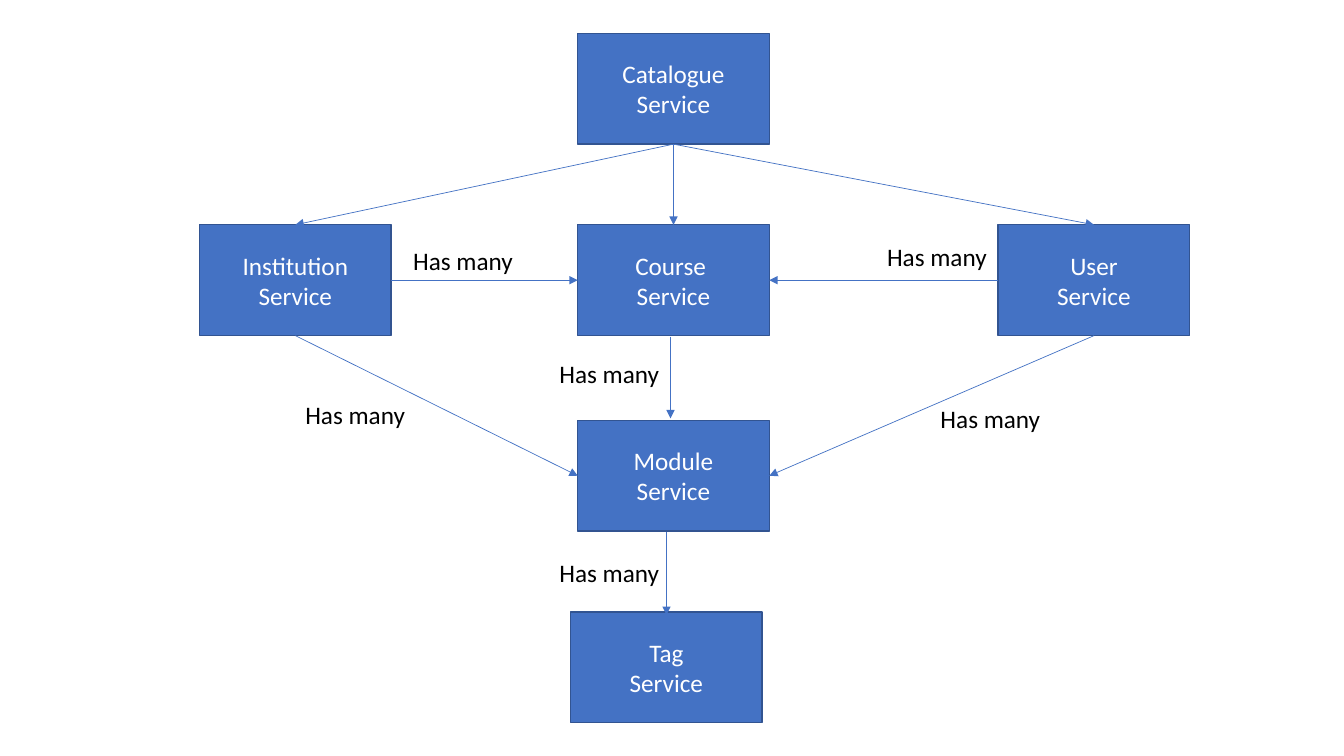
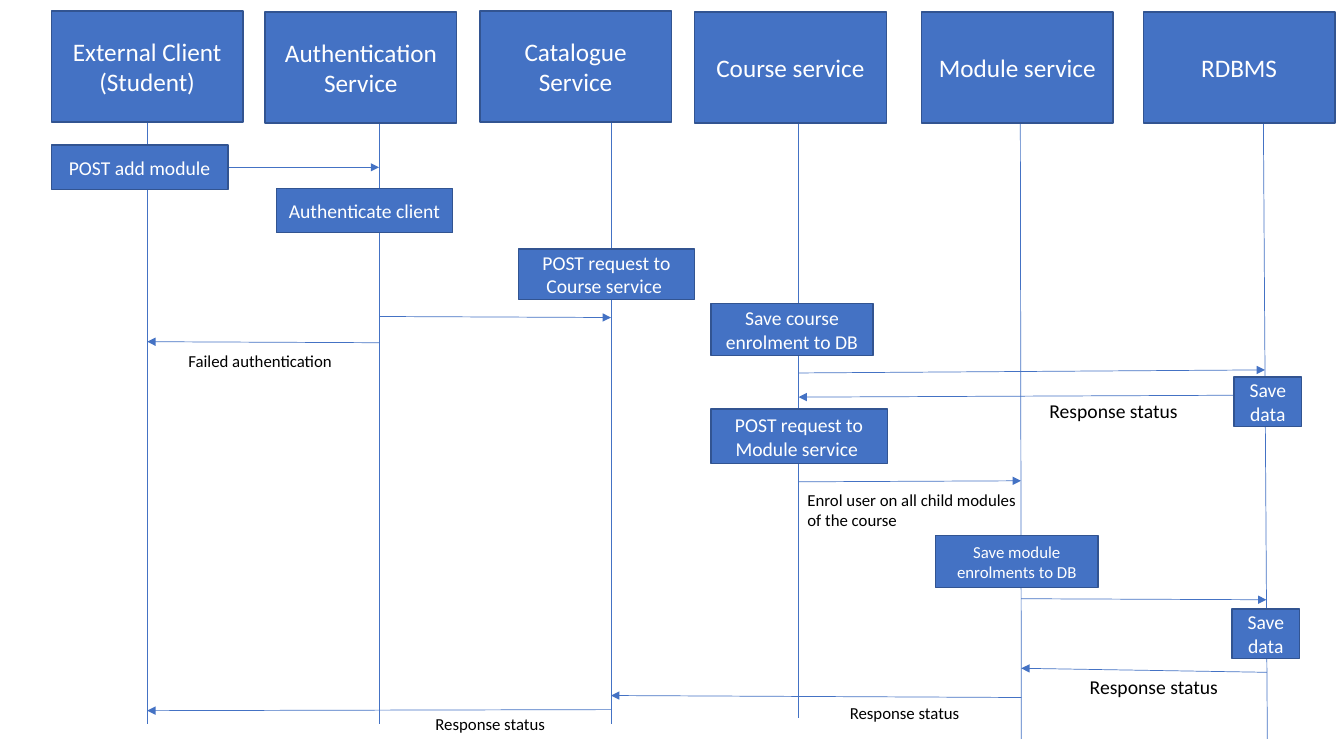
from collections import namedtuple

from lxml import etree
from pptx import Presentation
from pptx.dml import color
from pptx.enum import shapes, text
from pptx.oxml import ns
from pptx.util import Inches, Pt

FILL, EDGE, WHITE, BLACK = "4472C4", "325491", "FFFFFF", "000000"
FONT = "Calibri"
CARD = (1.9, 1.1)
STEP = (1.75, 0.44)
TOP, LEFT, BOTTOM, RIGHT = range(4)

Box = namedtuple("Box", "left top width height")


class Lane(namedtuple("Lane", "title left top start start_y end end_y")):
    """A participant with its header and its lifeline."""

    def x_at(self, y):
        """Return where the lifeline runs at a height."""
        return self.start + (self.end - self.start) * (y - self.start_y) / (self.end_y - self.start_y)


def rgb(value):
    """Turn a hex string into a colour."""
    return color.RGBColor.from_string(value)


def write(frame, content, size=18, fill=BLACK, align=text.PP_ALIGN.LEFT):
    """Write one paragraph for each line of the content."""
    for index, line in enumerate(content.split("\n")):
        para = frame.add_paragraph() if index else frame.paragraphs[0]
        para.alignment = align
        span = para.add_run()
        span.text = line
        span.font.name, span.font.size = FONT, Pt(size)
        span.font.color.rgb = rgb(fill)


def add_card(page, box, content, size=18):
    """Add a blue rectangle with centred white text."""
    card = page.shapes.add_shape(shapes.MSO_SHAPE.RECTANGLE, *map(Inches, box))
    card.shadow.inherit = False
    card.fill.solid()
    card.fill.fore_color.rgb = rgb(FILL)
    card.line.color.rgb = rgb(EDGE)
    card.line.width = Pt(1)
    card.text_frame.word_wrap = True
    card.text_frame.vertical_anchor = text.MSO_ANCHOR.MIDDLE
    write(card.text_frame, content, size, WHITE, text.PP_ALIGN.CENTER)
    return card


def add_label(page, box, content, size=18):
    """Add black text that keeps to its own lines."""
    label = page.shapes.add_textbox(*map(Inches, box))
    label.text_frame.word_wrap = False
    write(label.text_frame, content, size)


def add_line(page, start=(0, 0), end=(0, 0), arrow=True):
    """Add a thin straight line, with an arrowhead at its end if wanted."""
    line = page.shapes.add_connector(shapes.MSO_CONNECTOR.STRAIGHT, *map(Inches, (*start, *end)))
    line.line.color.rgb = rgb(FILL)
    line.line.width = Pt(0.5)
    if arrow:
        etree.SubElement(line.line._get_or_add_ln(), ns.qn("a:tailEnd"), type="triangle")
    etree.SubElement(line._element.spPr, ns.qn("a:effectLst"))
    return line


def join(page, source, source_side, target, target_side):
    """Glue an arrow between the sides of two cards."""
    arrow = add_line(page)
    arrow.begin_connect(source, source_side)
    arrow.end_connect(target, target_side)


def draw_services(page, box):
    """Draw the services and how they depend on each other."""
    middle, right = 3.75, box.width - CARD[0]
    places = {
        "Catalogue": (middle, 0),
        "Institution": (0, 1.9),
        "Course ": (middle, 1.9),
        "User": (right, 1.9),
        "Module": (middle, 3.84),
        "Tag": (3.68, box.height - CARD[1]),
    }
    cards = {
        name.strip(): add_card(page, (box.left + x, box.top + y, *CARD), f"{name}\nService")
        for name, (x, y) in places.items()
    }
    for source, source_side, target, target_side in (
        ("Catalogue", BOTTOM, "Institution", TOP),
        ("Catalogue", BOTTOM, "Course", TOP),
        ("Catalogue", BOTTOM, "User", TOP),
        ("Institution", RIGHT, "Course", LEFT),
        ("Institution", BOTTOM, "Module", LEFT),
        ("User", LEFT, "Course", RIGHT),
        ("User", BOTTOM, "Module", RIGHT),
    ):
        join(page, cards[source], source_side, cards[target], target_side)
    for x, start, end in ((4.67, 3.01, 3.82), (4.63, 4.95, 5.77)):
        add_line(page, (box.left + x, box.top + start), (box.left + x, box.top + end))
    for x, y in ((2.02, 2.05), (3.47, 3.18), (0.95, 3.58), (6.72, 2.01), (7.25, 3.62), (3.47, 5.15)):
        add_label(page, (box.left + x, box.top + y, 1.2, 0.4), "Has many")


def draw_lanes(page, box, lanes):
    """Draw the lifelines and the headers over them."""
    for lane in lanes.values():
        add_line(page, (box.left + lane.start, box.top + lane.start_y),
                 (box.left + lane.end, box.top + lane.end_y), arrow=False)
        add_card(page, (box.left + lane.left, box.top + lane.top, *CARD), lane.title)


def draw_messages(page, box, lanes):
    """Draw the arrows between lifelines and the words beside them."""
    add_line(page, (box.left + 2.26, box.top + 1.66), (box.left + lanes["auth"].end, box.top + 1.66))
    for source, target, start, end in (
        ("auth", "catalogue", 3.14, 3.15),
        ("auth", "client", 3.4, 3.39),
        ("course", "database", 3.7, 3.67),
        ("database", "course", 3.92, 3.94),
        ("course", "module", 4.78, 4.77),
        ("module", "database", 5.94, 5.95),
        ("database", "module", 6.67, 6.63),
        ("module", "catalogue", 6.92, 6.9),
        ("catalogue", "client", 7.04, 7.05),
    ):
        add_line(page, (box.left + lanes[source].x_at(start), box.top + start),
                 (box.left + lanes[target].x_at(end), box.top + end))
    for x, y, width, height, content, size in (
        (1.77, 3.43, 1.64, 0.3, "Failed authentication", 12),
        (10.31, 3.91, 1.53, 0.34, "Response status ", 14),
        (7.91, 4.81, 2.37, 0.5, "Enrol user on all child modules \nof the course", 12),
        (10.71, 6.65, 1.53, 0.34, "Response status ", 14),
        (8.33, 6.92, 1.34, 0.3, "Response status ", 12),
        (4.22, 7.03, 1.34, 0.3, "Response status ", 12),
    ):
        add_label(page, (box.left + x, box.top + y, width, height), content, size)


def draw_steps(page, box):
    """Draw the steps that the participants carry out."""
    for x, y, width, height, content, size in (
        (0.51, 1.44, *STEP, "POST add module", 14),
        (2.74, 1.87, *STEP, "Authenticate client", 14),
        (5.14, 2.47, 1.75, 0.5, "POST request to Course service ", 14),
        (7.05, 3.01, 1.61, 0.52, "Save course enrolment to DB", 14),
        (12.24, 3.74, 0.67, 0.49, "Save data", 14),
        (7.05, 4.06, 1.75, 0.54, "POST request to Module service ", 14),
        (9.28, 5.31, 1.61, 0.52, "Save module\nenrolments to DB", 12),
        (12.22, 6.04, 0.67, 0.49, "Save data", 14),
    ):
        add_card(page, (box.left + x, box.top + y, width, height), content, size)


def draw_sequence(page, box):
    """Draw the sequence of calls that adds a module."""
    lanes = {
        "client": Lane("External Client\n(Student)", 0.51, 0.11, 1.46, 1.21, 1.46, 7.18),
        "auth": Lane("Authentication\nService", 2.63, 0.12, 3.76, 1.21, 3.76, 7.18),
        "catalogue": Lane("Catalogue\nService", 4.76, 0.11, 6.06, 1.21, 6.06, 7.18),
        "course": Lane("Course service", 6.89, 0.12, 7.92, 1.15, 7.92, 7.12),
        "module": Lane("Module service", 9.14, 0.12, 10.12, 1.2, 10.13, 7.33),
        "database": Lane("RDBMS", 11.34, 0.12, 12.53, 1.12, 12.57, 7.33),
    }
    draw_lanes(page, box, lanes)
    draw_messages(page, box, lanes)
    draw_steps(page, box)


def main():
    """Build the deck and save it."""
    deck = Presentation()
    deck.slide_width, deck.slide_height = Inches(13.33), Inches(7.5)
    blank = deck.slide_layouts[6]
    draw_services(deck.slides.add_slide(blank), Box(1.98, 0.33, 9.82, 6.84))
    draw_sequence(deck.slides.add_slide(blank), Box(0, 0, 13.33, 7.5))
    deck.save("out.pptx")


main()
